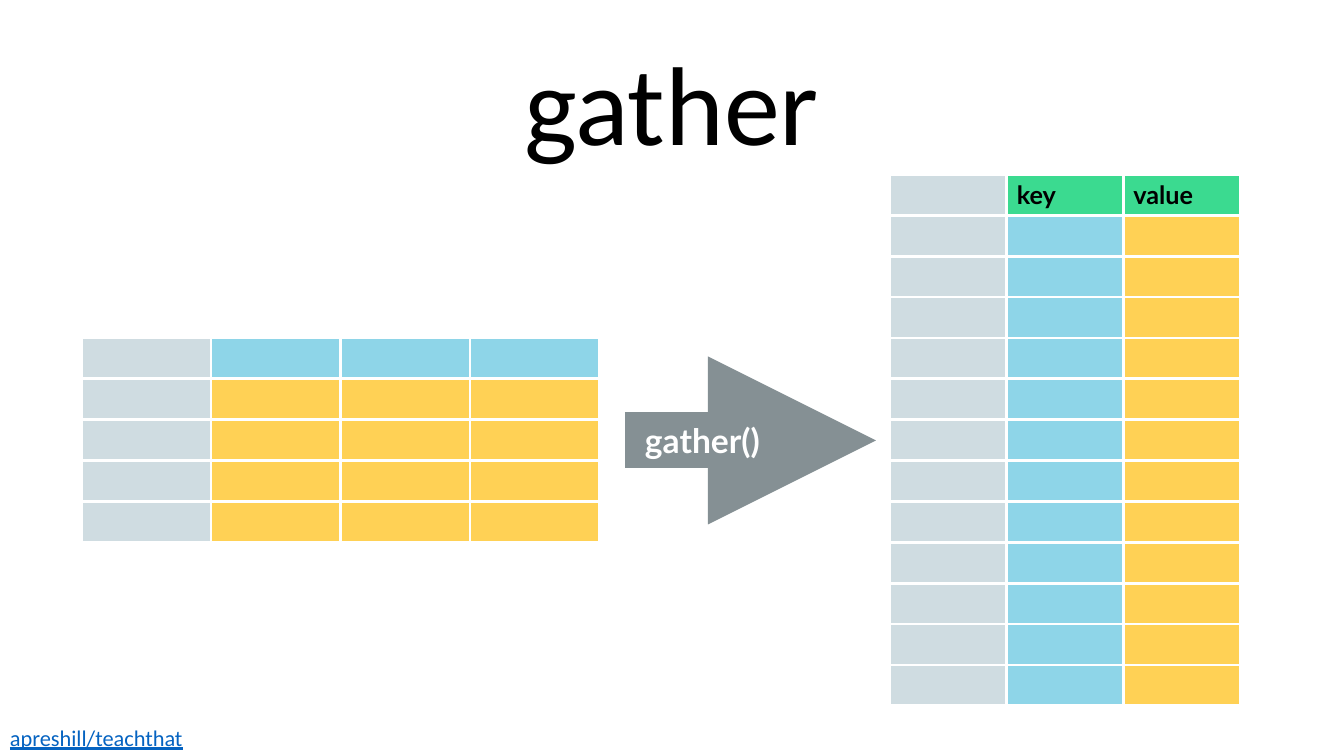
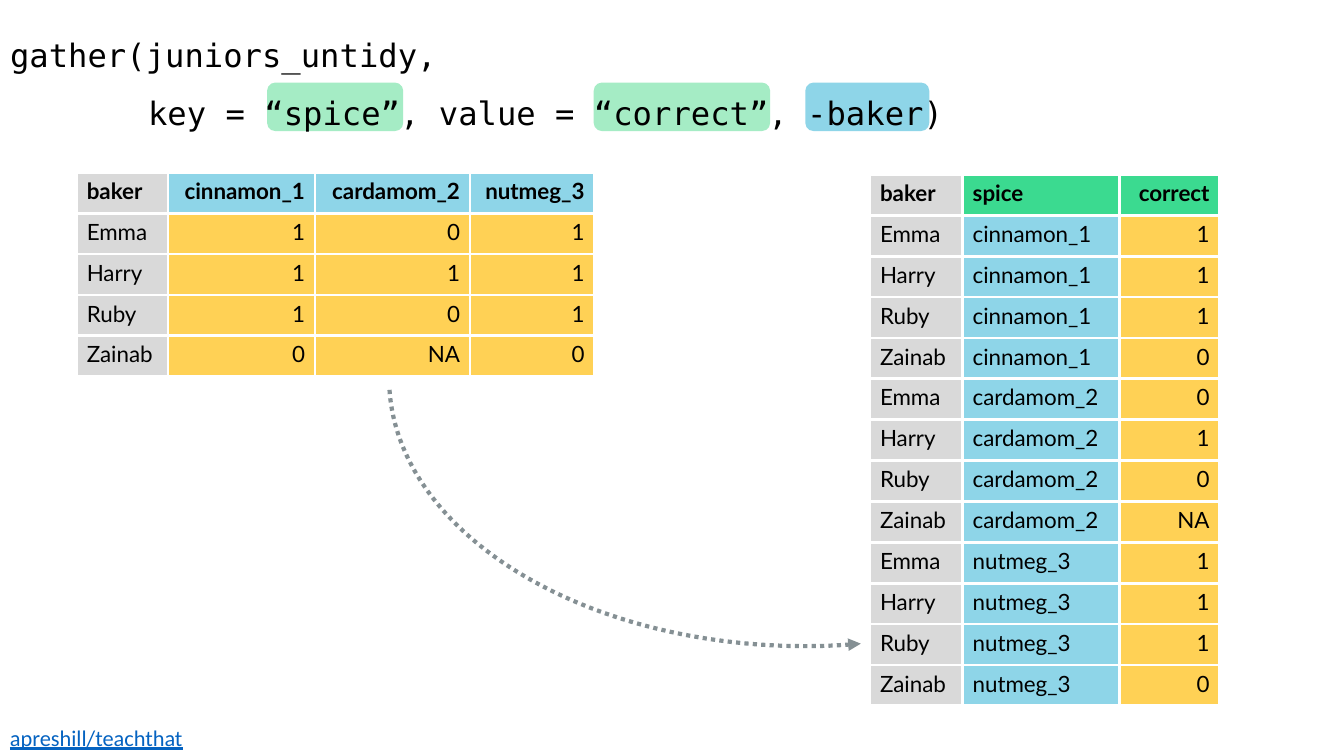
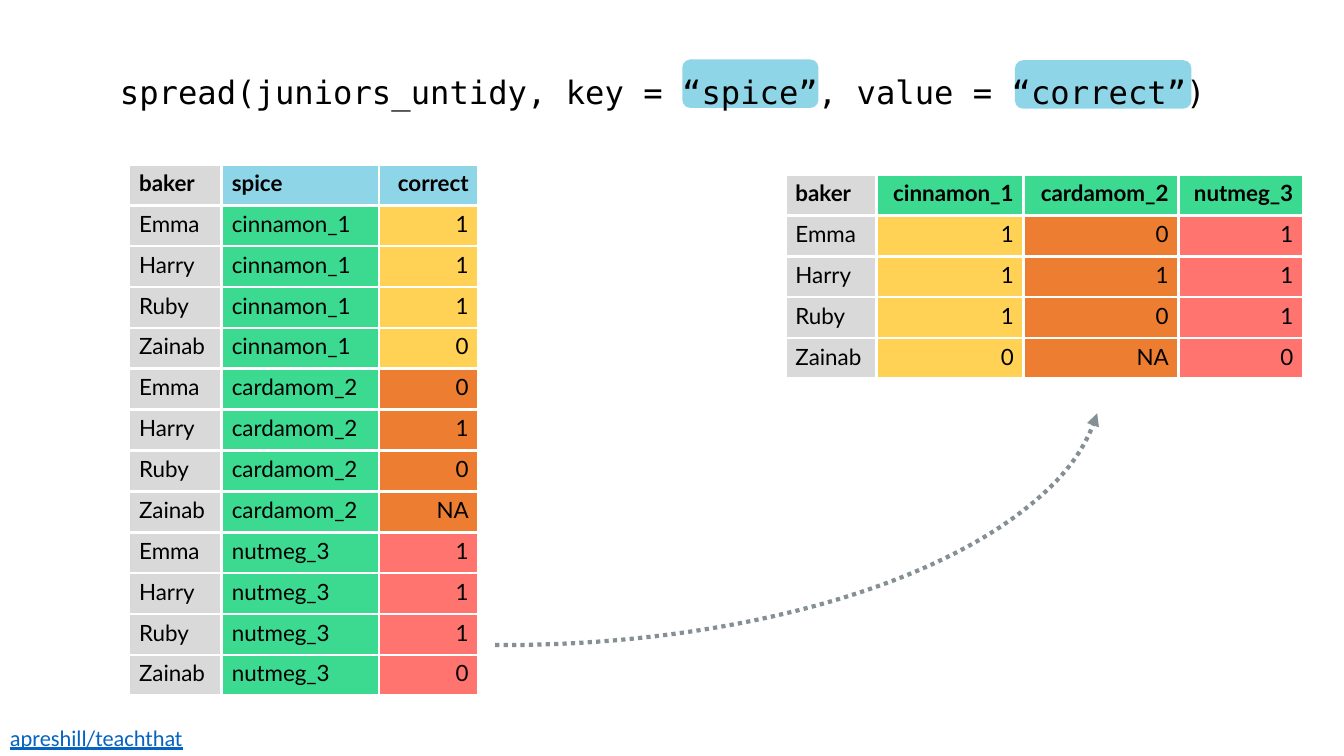
from lxml import etree
from pptx import Presentation
from pptx.dml.color import RGBColor
from pptx.enum import dml, shapes, text
from pptx.oxml import ns
from pptx.util import Pt

COLORS = {
    "white": "FFFFFF", "black": "000000", "link": "0563C1", "slate": "859094",
    "mist": "CFDCE1", "gray": "D9D9D9", "blue": "8ED5E8", "green": "3BDA90",
    "mint": "A5ECC5", "yellow": "FFD155", "orange": "ED7D31", "red": "FF746F",
}
CODE = ("DejaVu Sans Mono", 23)
ROW_HEIGHT = 29.2
LEFT, CENTER, RIGHT = text.PP_ALIGN.LEFT, text.PP_ALIGN.CENTER, text.PP_ALIGN.RIGHT

# Data: one row per baker, and the same data with one row per baker and spice
BAKERS = ["Emma", "Harry", "Ruby", "Zainab"]
SCORES = {
    "cinnamon_1": ["1", "1", "1", "0"],
    "cardamom_2": ["0", "1", "0", "NA"],
    "nutmeg_3": ["1", "1", "1", "0"],
}
SPICE_COLORS = ["yellow", "orange", "red"]
WIDE = [["baker", *SCORES]] + [list(row) for row in zip(BAKERS, *SCORES.values())]
LONG = [["baker", "spice", "correct"]] + [
    [baker, spice, score]
    for spice, scores in SCORES.items()
    for baker, score in zip(BAKERS, scores)]
WIDE_COLS = [65.3, 105, 110.7, 89]
LONG_COLS = [66.2, 112.3, 71.3]

# Code lines: text, box, and the highlights behind the arguments
GATHER_CODE = {
    "lines": ["gather(juniors_untidy,",
              "\tkey = “spice”, value = “correct”, -baker)"],
    "at": (0, 8, 683, 86),
    "marks": [("blue", 575.3, 59, 88.5), ("mint", 190.8, 59, 97.2),
              ("mint", 424.1, 59, 126)],
}
SPREAD_CODE = {
    "lines": ["spread(juniors_untidy, key = “spice”, value = “correct”)"],
    "at": (78.5, 34.5, 803, 44.6),
    "marks": [("blue", 487.4, 42.5, 97.2), ("blue", 725, 43, 126)],
}


def rgb(name):
    return RGBColor.from_string(COLORS[name])


def fill_frame(frame, lines, font, color="black", align=LEFT, bold=False):
    frame.text = "\n".join(lines)
    for para in frame.paragraphs:
        para.alignment = align
        for span in para.runs:
            span.font.name, span.font.size = font[0], Pt(font[1])
            span.font.bold = bold
            span.font.color.rgb = rgb(color)


def place(shape, at):
    shape.left, shape.top, shape.width, shape.height = map(Pt, at)


def set_title(page, lines, at, font, align=LEFT):
    title = page.shapes.title
    place(title, at)
    frame = title.text_frame
    frame.auto_size = text.MSO_AUTO_SIZE.NONE
    frame.vertical_anchor = text.MSO_ANCHOR.TOP
    fill_frame(frame, lines, font, align=align)
    return title


def add_label(page, label, at, font, color, bold=False):
    box = page.shapes.add_textbox(*map(Pt, at))
    box.text_frame.word_wrap = False
    fill_frame(box.text_frame, [label], font, color, bold=bold)
    return box


def add_page(deck):
    page = deck.slides.add_slide(deck.slide_layouts[5])
    footer = add_label(page, "apreshill/teachthat", (0, 513.4, 139, 26.6),
                       ("Calibri", 16), "link")
    footer.text_frame.paragraphs[0].runs[0].font.underline = True
    return page


def add_grid(page, left, top, widths, rows, fills, size=16, right_from=9):
    """Table with white rules; columns from right_from on align right."""
    table = page.shapes.add_table(
        len(rows), len(widths), Pt(left), Pt(top),
        Pt(sum(widths)), Pt(ROW_HEIGHT * len(rows))).table
    table.first_row = table.horz_banding = False
    for column, width in zip(table.columns, widths):
        column.width = Pt(width)
    for r, (row, colors) in enumerate(zip(rows, fills)):
        table.rows[r].height = Pt(ROW_HEIGHT)
        for c, (value, color) in enumerate(zip(row, colors)):
            cell = table.cell(r, c)
            props = cell._tc.get_or_add_tcPr()
            for side in ("lnL", "lnR", "lnT", "lnB"):
                rule = etree.SubElement(props, ns.qn("a:" + side), w=str(Pt(2.25)))
                solid = etree.SubElement(rule, ns.qn("a:solidFill"))
                etree.SubElement(solid, ns.qn("a:srgbClr"), val=COLORS["white"])
            cell.fill.solid()
            cell.fill.fore_color.rgb = rgb(color)
            if value:
                fill_frame(cell.text_frame, [value], ("Lato", size), bold=r == 0,
                           align=RIGHT if c >= right_from else LEFT)


def style_arrow(shape, weight):
    shape.line.color.rgb = rgb("slate")
    shape.line.width = Pt(weight)
    etree.SubElement(shape.line._get_or_add_ln(), ns.qn("a:tailEnd"), type="triangle")


def add_curve(page, at, start, end):
    """Dotted arc arrow, mirrored; start and end are in degrees."""
    curve = page.shapes.add_shape(shapes.MSO_SHAPE.ARC, *map(Pt, at))
    curve.shadow.inherit = False
    curve.fill.background()
    curve.element.spPr.find(ns.qn("a:xfrm")).set("flipH", "1")
    # An arc angle counts 60000 to the degree, an adjustment 100000 to the unit
    curve.adjustments[0], curve.adjustments[1] = start * 0.6, end * 0.6
    curve.line.dash_style = dml.MSO_LINE.ROUND_DOT
    style_arrow(curve, 3)


def add_code(page, code):
    for color, left, top, width in code["marks"]:
        mark = page.shapes.add_shape(shapes.MSO_SHAPE.ROUNDED_RECTANGLE,
                                     Pt(left), Pt(top), Pt(width), Pt(34.6))
        mark.shadow.inherit = False
        mark.fill.solid()
        mark.fill.fore_color.rgb = rgb(color)
        mark.line.fill.background()
    title = set_title(page, code["lines"], code["at"], CODE)
    for para in title.text_frame.paragraphs:
        para.line_spacing = 1.5
        if para.text.startswith("\t"):
            props = para._p.get_or_add_pPr()
            props.set("marL", str(Pt(98.6)))
            props.set("indent", str(-Pt(98.6)))
    # The code stands in front of its highlights
    title.element.getparent().append(title.element)


def build_concept(deck):
    page = add_page(deck)
    set_title(page, ["gather"], (366.5, 20, 227, 104.4), ("Calibri", 80), CENTER)
    add_grid(page, 635.8, 124.6, [83.3] * 3,
             [["", "key", "value"]] + [[""] * 3] * 12,
             [["mist", "green", "green"]] + [["mist", "blue", "yellow"]] * 12, size=18)
    add_grid(page, 58.3, 241.2, [92.5] * 4, [[""] * 4] * 5,
             [["mist"] + ["blue"] * 3] + [["mist"] + ["yellow"] * 3] * 4)
    arrow = page.shapes.add_connector(shapes.MSO_CONNECTOR.STRAIGHT,
                                      Pt(446.4), Pt(314.6), Pt(625.7), Pt(314.6))
    style_arrow(arrow, 40)
    etree.SubElement(arrow.element.spPr, ns.qn("a:effectLst"))
    label = add_label(page, "gather()", (453.6, 296, 107.3, 36), ("Lato", 24),
                      "white", bold=True)
    label.text_frame.vertical_anchor = text.MSO_ANCHOR.MIDDLE


def build_gather(deck):
    page = add_page(deck)
    add_grid(page, 621.4, 124.6, LONG_COLS, LONG,
             [["gray", "green", "green"]] + [["gray", "blue", "yellow"]] * 12,
             right_from=2)
    add_curve(page, (278, 79.2, 593.3, 382.3), 1.57, 102)
    add_grid(page, 54.8, 123.1, WIDE_COLS, WIDE,
             [["gray"] + ["blue"] * 3] + [["gray"] + ["yellow"] * 3] * 4,
             right_from=1)
    add_code(page, GATHER_CODE)


def build_spread(deck):
    page = add_page(deck)
    add_grid(page, 92.2, 117.4, LONG_COLS, LONG,
             [["gray", "blue", "blue"]]
             + [["gray", "green", color] for color in SPICE_COLORS for _ in BAKERS],
             right_from=2)
    add_curve(page, (-70.6, 78.5, 858.2, 382.3), 88.58, 176.56)
    add_grid(page, 561, 124.6, WIDE_COLS, WIDE,
             [["gray"] + ["green"] * 3] + [["gray"] + SPICE_COLORS] * 4,
             right_from=1)
    add_code(page, SPREAD_CODE)


def main():
    deck = Presentation()
    deck.slide_width, deck.slide_height = Pt(960), Pt(540)
    for build in (build_concept, build_gather, build_spread):
        build(deck)
    deck.save("out.pptx")


if __name__ == "__main__":
    main()
